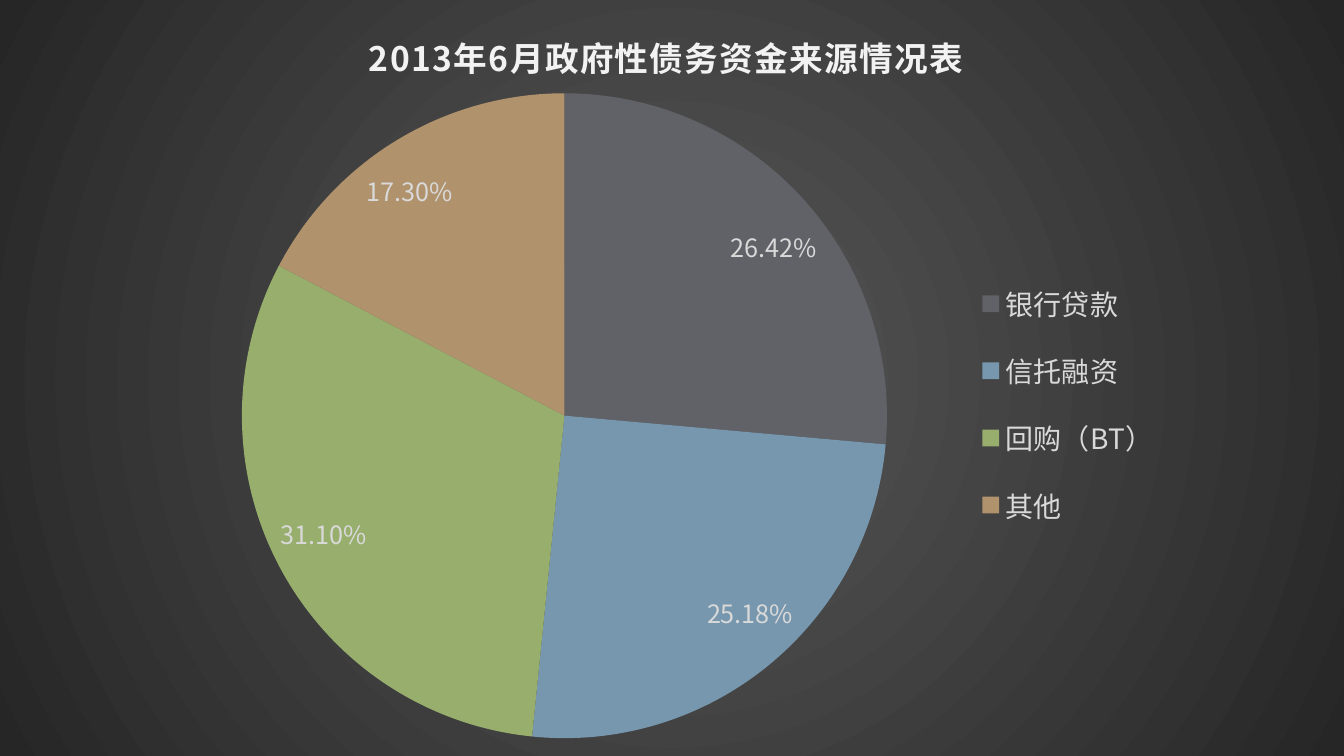
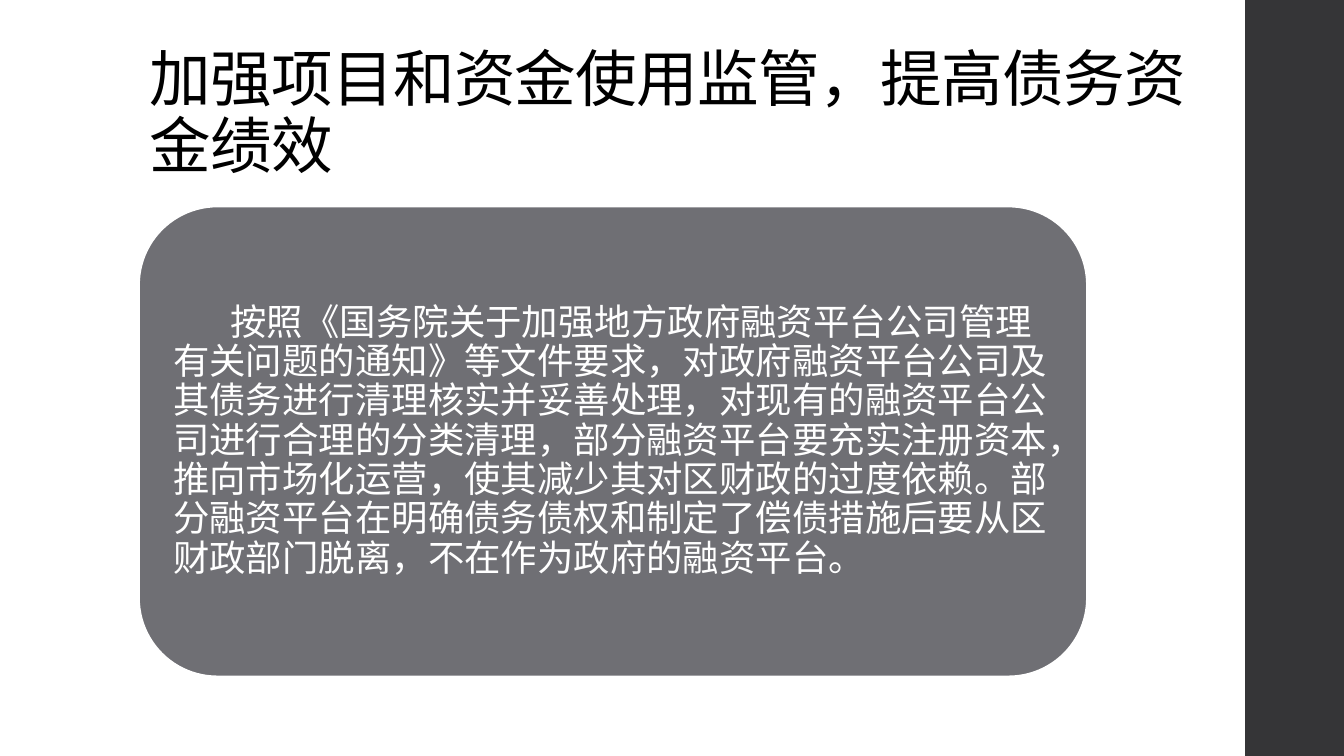
from dataclasses import dataclass

import pptx
import pptx.chart.data
import pptx.dml.color
import pptx.enum.chart
import pptx.enum.shapes
import pptx.enum.text
import pptx.oxml
import pptx.oxml.ns
import pptx.util
from pptx.util import Inches


@dataclass(frozen=True)
class Theme:
    font: str = "Noto Sans CJK SC"
    chart_font: str = "Cambria"
    black: str = "000000"
    white: str = "FFFFFF"
    band: str = "353537"
    panel: str = "6F6F74"
    chart_title: str = "F2F2F2"
    chart_text: str = "D9D9D9"
    glow: str = "595959"
    edge: str = "262626"
    slices: tuple = ("616168", "7797AE", "97AE6D", "B0926C")
    title_size: int = 44
    body_size: int = 26
    chart_title_size: int = 24
    legend_size: int = 20
    label_size: int = 18
    chart_size: int = 10


theme = Theme()
rgb = pptx.dml.color.RGBColor.from_string
qn = pptx.oxml.ns.qn


def style(font, size, color, name=theme.font, spacing=None):
    """Format a font, for Latin and East Asian text alike."""
    font.size = pptx.util.Pt(size)
    font.color.rgb = rgb(color)
    font.name = name
    rPr = font._element
    ea = rPr.makeelement(qn("a:ea"), {"typeface": name})
    rPr.find(qn("a:latin")).addnext(ea)
    if spacing is not None:
        rPr.set("spc", str(spacing))


def place(element, index, **fractions):
    """Give a chart part a manual layout in fractions of the chart."""
    for old in element.findall(qn("c:layout")):
        element.remove(old)
    target = '<c:layoutTarget val="inner"/>' if index == 0 else ""
    modes = "".join(f'<c:{k}Mode val="edge"/>' for k in "xy")
    values = "".join(f'<c:{k} val="{v}"/>' for k, v in fractions.items())
    element.insert(index, pptx.oxml.parse_xml(
        f'<c:layout {pptx.oxml.ns.nsdecls("c")}><c:manualLayout>'
        f"{target}{modes}{values}</c:manualLayout></c:layout>"))


prs = pptx.Presentation()
prs.slide_width, prs.slide_height = Inches(13.33), Inches(7.5)

# Slide 1: pie chart over the whole slide
s = prs.slides.add_slide(prs.slide_layouts[6])

# Side band, moved to the master so that all slides share it
sp = s.shapes.add_shape(pptx.enum.shapes.MSO_SHAPE.RECTANGLE,
                        Inches(12.35), 0, Inches(1), prs.slide_height)
sp.shadow.inherit = False
sp.fill.solid()
sp.fill.fore_color.rgb = rgb(theme.band)
sp.line.fill.background()
prs.slide_master.shapes._spTree.insert(2, sp._element)

data = pptx.chart.data.CategoryChartData(number_format="0.00%")
data.categories = ["银行贷款", "信托融资", "回购（BT）", "其他"]
data.add_series("资金来源", (0.2642, 0.2518, 0.311, 0.173))
chart = s.shapes.add_chart(pptx.enum.chart.XL_CHART_TYPE.PIE, 0, 0,
                           prs.slide_width, prs.slide_height, data).chart
style(chart.font, theme.chart_size, theme.black, theme.chart_font)

# Chart background: radial gradient
chart._chartSpace.chart.addnext(pptx.oxml.parse_xml(
    f'<c:spPr {pptx.oxml.ns.nsdecls("c", "a")}><a:gradFill><a:gsLst>'
    f'<a:gs pos="0"><a:srgbClr val="{theme.glow}"/></a:gs>'
    f'<a:gs pos="100000"><a:srgbClr val="{theme.edge}"/></a:gs></a:gsLst>'
    '<a:path path="circle"><a:fillToRect l="50000" t="50000" r="50000" '
    'b="50000"/></a:path></a:gradFill><a:ln><a:noFill/></a:ln></c:spPr>'))

# Chart title
chart.has_title = True
p = chart.chart_title.text_frame.paragraphs[0]
p.text = "2013年6月政府性债务资金来源情况表"
r = p.runs[0]
style(r.font, theme.chart_title_size, theme.chart_title, spacing=100)
r.font.bold = True
place(chart.chart_title._element, 1, x=0.27, y=0.03)

# Legend
chart.has_legend = True
legend = chart.legend
legend.position = pptx.enum.chart.XL_LEGEND_POSITION.RIGHT
legend.include_in_layout = False
style(legend.font, theme.legend_size, theme.chart_text)
place(legend._element, 1, x=0.72, y=0.34, w=0.15, h=0.39)

# Slices and their labels
plot = chart.plots[0]
plot.vary_by_categories = True
place(chart._chartSpace.chart.plotArea, 0, x=0.18, y=0.12, w=0.48, h=0.86)
for i, color in enumerate(theme.slices):
    fmt = plot.series[0].points[i].format
    fmt.fill.solid()
    fmt.fill.fore_color.rgb = rgb(color)
    fmt.line.fill.background()
plot.has_data_labels = True
labels = plot.data_labels
style(labels.font, theme.label_size, theme.chart_text)
labels.number_format = "0.00%"
labels.number_format_is_linked = False
labels.show_value = True
labels.position = pptx.enum.chart.XL_LABEL_POSITION.BEST_FIT

# Slide 2: title and text panel
s = prs.slides.add_slide(prs.slide_layouts[5])
title = s.shapes.title
title.left, title.top = Inches(1.38), Inches(0.4)
title.width, title.height = Inches(10.6), Inches(1.45)
tf = title.text_frame
tf.text = "加强项目和资金使用监管，提高债务资金绩效"
tf.auto_size = pptx.enum.text.MSO_AUTO_SIZE.NONE
tf.vertical_anchor = pptx.enum.text.MSO_ANCHOR.BOTTOM
p = tf.paragraphs[0]
p.alignment = pptx.enum.text.PP_ALIGN.LEFT
p.line_spacing = 0.9
style(p.runs[0].font, theme.title_size, theme.black, spacing=-50)

# Rounded panel
sp = s.shapes.add_shape(pptx.enum.shapes.MSO_SHAPE.ROUNDED_RECTANGLE,
                        Inches(1.38), Inches(2.05), Inches(9.4), Inches(4.66))
sp.shadow.inherit = False
sp.fill.solid()
sp.fill.fore_color.rgb = rgb(theme.panel)
sp.line.color.rgb = rgb(theme.white)
sp.line.width = pptx.util.Pt(1.1)
tf = sp.text_frame
tf.word_wrap = True
tf.vertical_anchor = pptx.enum.text.MSO_ANCHOR.MIDDLE
tf.margin_left = tf.margin_right = Inches(0.11)
tf.margin_top = tf.margin_bottom = Inches(0.11)
tf.text = (
    "按照《国务院关于加强地方政府融资平台公司管理有关问题的通知》等文件要求，"
    "对政府融资平台公司及其债务进行清理核实并妥善处理，"
    "对现有的融资平台公司进行合理的分类清理，部分融资平台要充实注册资本，"
    "推向市场化运营，使其减少其对区财政的过度依赖。"
    "部分融资平台在明确债务债权和制定了偿债措施后要从区财政部门脱离，"
    "不在作为政府的融资平台。")
p = tf.paragraphs[0]
p.alignment = pptx.enum.text.PP_ALIGN.LEFT
p.line_spacing = 0.9
p._p.get_or_add_pPr().set("indent", str(Inches(0.57)))
style(p.runs[0].font, theme.body_size, theme.white)

prs.save("out.pptx")
